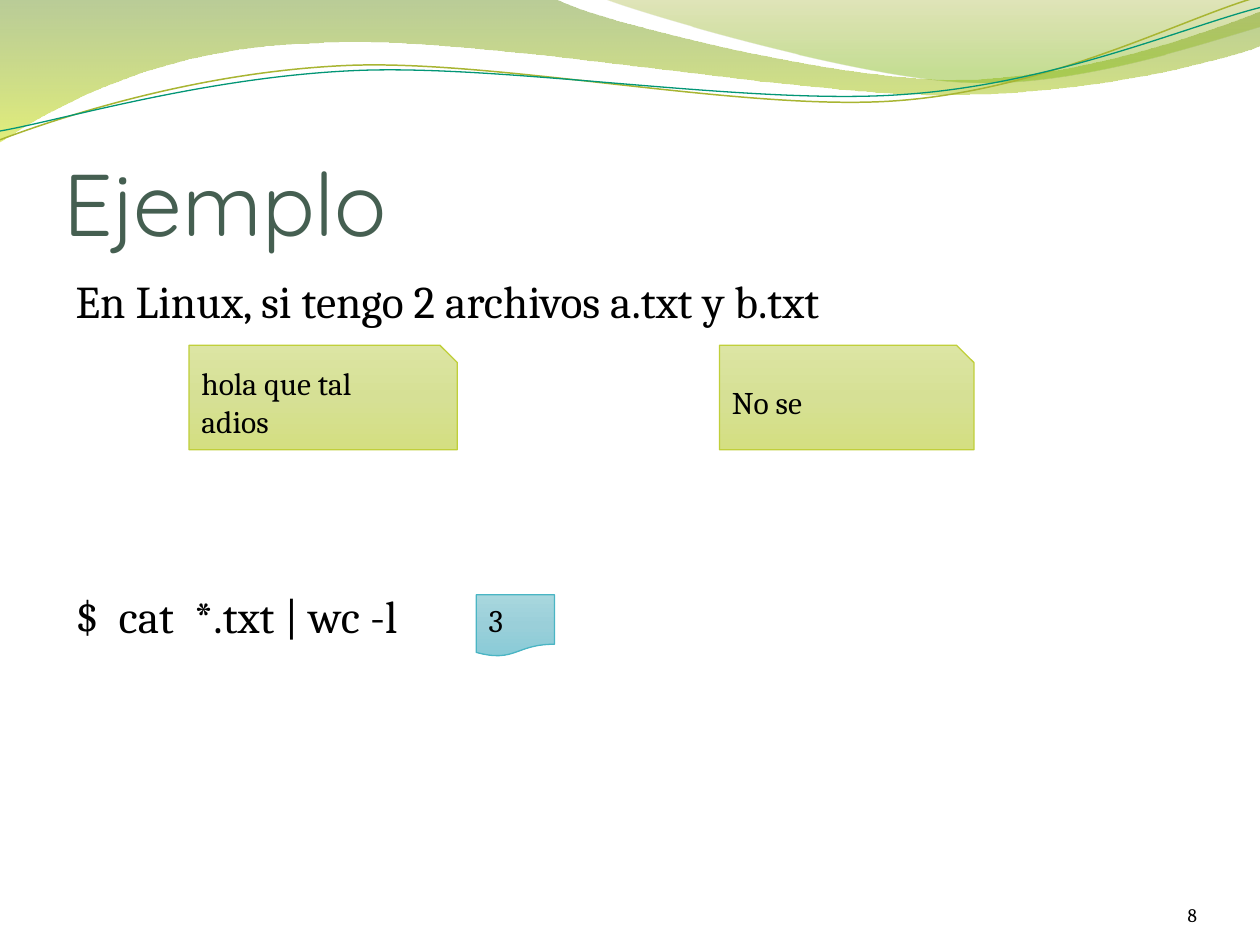
from dataclasses import dataclass
from typing import Optional

from lxml.etree import SubElement
from pptx import Presentation
from pptx.dml.color import RGBColor
from pptx.enum.shapes import MSO_SHAPE as Shape
from pptx.enum.text import MSO_ANCHOR as Anchor, MSO_AUTO_SIZE as AutoSize, PP_ALIGN as Align
from pptx.oxml.ns import qn
from pptx.util import Inches, Pt

BLACK = RGBColor(0x00, 0x00, 0x00)
TITLE_GREEN = RGBColor(0x45, 0x5F, 0x51)
OLIVE = RGBColor(0xA8, 0xB5, 0x32)
TEAL = RGBColor(0x02, 0x96, 0x76)
LIME = RGBColor(0xC0, 0xCF, 0x3A)
CYAN = RGBColor(0x4A, 0xB5, 0xC4)
LEAF = RGBColor(0x80, 0xB8, 0x14)
BODY_FONT, TITLE_FONT = "Cambria", "Quicksand"


@dataclass
class Stop:
    pos: int
    color: RGBColor
    alpha: int = 100


@dataclass
class Wave:
    """Two numbers in a segment make a line, six a Bezier curve."""
    start: tuple[float, float]
    segments: list[tuple[float, ...]]
    stops: Optional[list[Stop]] = None
    line: Optional[RGBColor] = None
    width: float = 0.75


@dataclass
class Note:
    shape: Shape
    box: tuple[float, float, float, float]
    lines: list[str]
    stops: list[Stop]
    line: RGBColor


LIME_STOPS = [Stop(0, RGBColor(0xDC, 0xE5, 0xA3)), Stop(50, RGBColor(0xD6, 0xE0, 0x95)),
              Stop(100, RGBColor(0xD4, 0xDF, 0x81))]
CYAN_STOPS = [Stop(0, RGBColor(0xA8, 0xD7, 0xDE)), Stop(50, RGBColor(0x9A, 0xCF, 0xD9)),
              Stop(100, RGBColor(0x88, 0xCB, 0xD7))]

WAVES = [
    Wave((0, 0), [(4.4, -0.01), (4.75, 0.17, 6.63, 0.63, 7.58, 0.63),
                  (8.53, 0.63, 9.58, 0.26, 10, 0.09), (10.01, 0.36),
                  (9.83, 0.44, 8.69, 0.76, 7.46, 0.75), (6.22, 0.75, 3.81, 0.28, 2.57, 0.34),
                  (1.29, 0.36, 0.46, 0.83, -0.01, 1.13)],
         [Stop(0, RGBColor(0x66, 0x8F, 0x1B), 45), Stop(100, RGBColor(0xCA, 0xE0, 0x0E), 55)]),
    Wave((4.79, -0.01), [(5.09, 0.11, 6.82, 0.62, 7.68, 0.65),
                         (8.55, 0.69, 9.61, 0.32, 10, 0.21), (10, 0)],
         [Stop(0, RGBColor(0x99, 0xA7, 0x19), 30), Stop(80, LEAF, 45), Stop(100, LEAF, 45)]),
    Wave((0, 1.11), [(0.48, 0.93, 1.57, 0.57, 2.76, 0.52), (3.95, 0.47, 5.92, 0.89, 7.12, 0.8),
                     (8.33, 0.71, 9.38, 0.15, 9.97, -0.02)], line=OLIVE, width=0.85),
    Wave((0, 1.04), [(0.47, 0.96, 1.63, 0.61, 2.83, 0.56), (4.02, 0.51, 5.97, 0.84, 7.17, 0.75),
                     (8.36, 0.67, 9.41, 0.21, 10, 0.06)], line=TEAL),
]
NOTES = [
    Note(Shape.SNIP_1_RECTANGLE, (1.5, 2.74, 2.13, 0.83), ["hola que tal", "adios"], LIME_STOPS, LIME),
    Note(Shape.SNIP_1_RECTANGLE, (5.71, 2.74, 2.02, 0.83), ["No se"], LIME_STOPS, LIME),
    Note(Shape.FLOWCHART_DOCUMENT, (3.78, 4.72, 0.62, 0.49), ["3"], CYAN_STOPS, CYAN),
]


def place(s, left: float, top: float, width: float, height: float) -> None:
    s.left, s.top, s.width, s.height = map(Inches, (left, top, width, height))


def add_run(p, text: str, size: float, font: str = BODY_FONT, color: RGBColor = BLACK) -> None:
    r = p.add_run()
    r.text = text
    r.font.size, r.font.name = Pt(size), font
    r.font.color.rgb = color


def set_frame(tf, anchor: Anchor, insets: tuple[float, ...]) -> None:
    tf.word_wrap, tf.auto_size, tf.vertical_anchor = True, AutoSize.NONE, anchor
    tf.margin_left, tf.margin_top, tf.margin_right, tf.margin_bottom = map(Inches, insets)


def fill_down(s, stops: list[Stop]) -> None:
    """Fill from top to bottom, with a transparency for each stop."""
    s.fill.gradient()
    grad = s._element.spPr.find(qn("a:gradFill"))
    for child in list(grad):
        grad.remove(child)
    gs_list = SubElement(grad, qn("a:gsLst"))
    for stop in stops:
        gs = SubElement(gs_list, qn("a:gs"), pos=str(stop.pos * 1000))
        clr = SubElement(gs, qn("a:srgbClr"), val=str(stop.color))
        if stop.alpha < 100:
            SubElement(clr, qn("a:alpha"), val=str(stop.alpha * 1000))
    SubElement(grad, qn("a:lin"), ang="5400000", scaled="0")


def bend(s, segments: list[tuple[float, ...]]) -> None:
    """Join each three line points of a six-number segment into one curve."""
    points = iter(list(s._element.iter(qn("a:lnTo"))))
    for seg in segments:
        first = next(points)
        if len(seg) == 6:
            first.tag = qn("a:cubicBezTo")
            for _ in range(2):
                extra = next(points)
                first.append(extra[0])
                extra.getparent().remove(extra)


def add_wave(shapes, wave: Wave) -> None:
    # The builder keeps whole units, so it works in hundredths of an inch
    x, y = (round(100 * v) for v in wave.start)
    builder = shapes.build_freeform(x, y, scale=Inches(0.01))
    builder.add_line_segments([(round(100 * seg[i]), round(100 * seg[i + 1]))
                               for seg in wave.segments for i in range(0, len(seg), 2)],
                              close=wave.stops is not None)
    s = builder.convert_to_shape()
    bend(s, wave.segments)
    s.shadow.inherit = False
    if wave.stops:
        fill_down(s, wave.stops)
    else:
        s.fill.background()
    if wave.line:
        s.line.color.rgb, s.line.width = wave.line, Pt(wave.width)
    else:
        s.line.fill.background()


def add_note(shapes, note: Note) -> None:
    s = shapes.add_shape(note.shape, *map(Inches, note.box))
    s.shadow.inherit = False
    fill_down(s, note.stops)
    s.line.color.rgb, s.line.width = note.line, Pt(0.75)
    tf = s.text_frame
    set_frame(tf, Anchor.MIDDLE, (0.1, 0.05, 0.1, 0.05))
    for i, text in enumerate(note.lines):
        p = tf.add_paragraph() if i else tf.paragraphs[0]
        p.alignment = Align.LEFT
        add_run(p, text, 18)


def main() -> None:
    prs = Presentation()
    prs.slide_width, prs.slide_height = Inches(10), Inches(7.5)
    slide = prs.slides.add_slide(prs.slide_layouts[1])
    shapes = slide.shapes
    title, body = shapes.title, slide.placeholders[1]

    # Waves, with the placeholders moved in front of them
    for wave in WAVES:
        add_wave(shapes, wave)
    for s in (title, body):
        shapes._spTree.append(s._element)

    # Title
    place(title, 0.5, 0.77, 9, 1.25)
    set_frame(title.text_frame, Anchor.BOTTOM, (0, 0.05, 0, 0))
    p = title.text_frame.paragraphs[0]
    p.alignment = Align.LEFT
    add_run(p, "Ejemplo", 50, TITLE_FONT, TITLE_GREEN)

    # Body: the command stands below the file notes
    place(body, 0.5, 2.12, 9, 4.8)
    tf = body.text_frame
    set_frame(tf, Anchor.TOP, (0.1, 0.05, 0.1, 0.05))
    lines = [("En Linux, si tengo 2 archivos a.txt y b.txt", 0), ("$  cat  *.txt | wc -l", 148.5)]
    for i, (text, gap) in enumerate(lines):
        p = tf.add_paragraph() if i else tf.paragraphs[0]
        p.space_before = Pt(gap)
        pPr = p._p.get_or_add_pPr()
        pPr.set("marL", "0")
        pPr.set("indent", "0")
        SubElement(pPr, qn("a:buNone"))
        add_run(p, text, 26)

    # Slide number
    number = shapes.add_textbox(*map(Inches, (8.67, 6.95, 0.83, 0.4)))
    set_frame(number.text_frame, Anchor.BOTTOM, (0, 0, 0, 0))
    p = number.text_frame.paragraphs[0]
    p.alignment = Align.RIGHT
    add_run(p, "8", 11)

    # Files and result
    for note in NOTES:
        add_note(shapes, note)

    prs.save("out.pptx")


if __name__ == "__main__":
    main()
